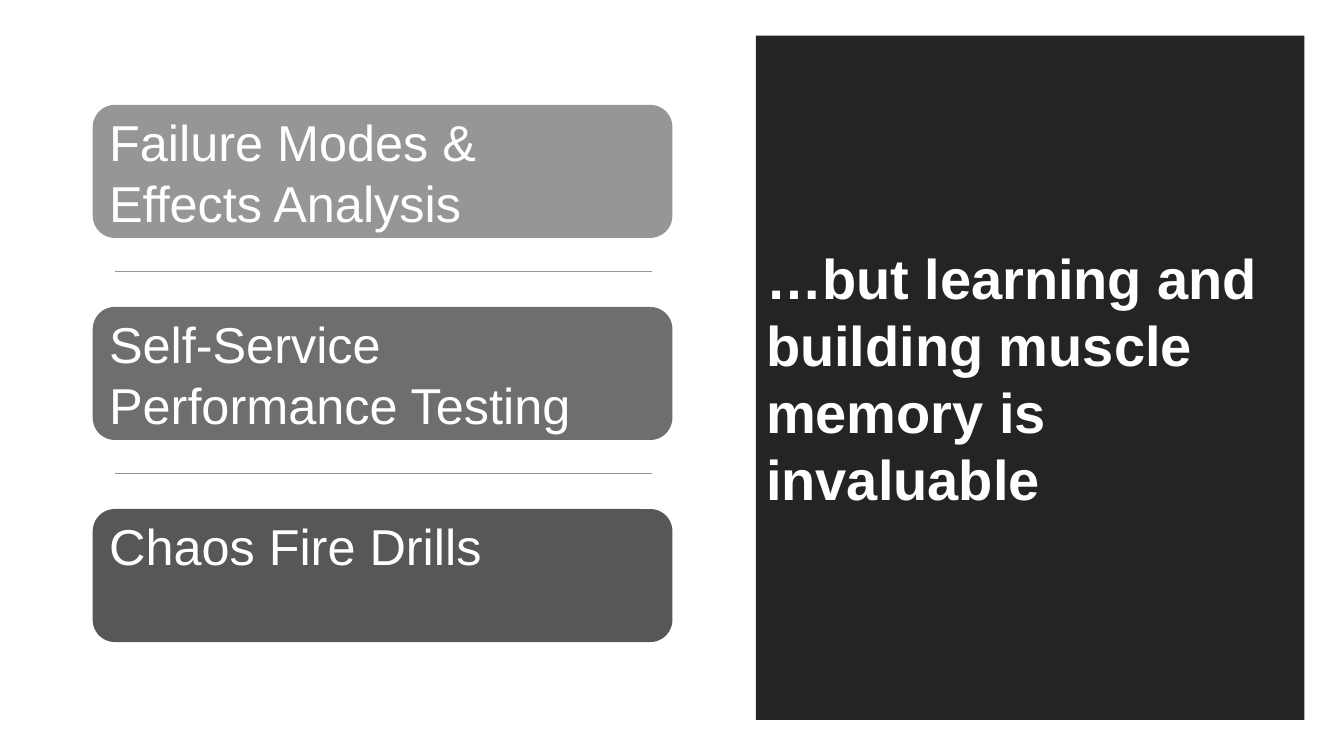
from lxml.etree import SubElement
from pptx import Presentation
from pptx.dml.color import RGBColor
from pptx.enum.shapes import MSO_CONNECTOR, MSO_SHAPE
from pptx.enum.text import MSO_ANCHOR, MSO_AUTO_SIZE, PP_ALIGN
from pptx.oxml.ns import qn
from pptx.util import Inches, Pt

WIDE, HIGH = Inches(13.33), Inches(7.5)
LEFT, TOP, SPAN, TALL, STEP = 6.9, 13.87, 43.13, 17.6, 26.73
RULE_LEFT, RULE_END, RULE_TOP = 8.55, 48.53, 35.87
CARDS = [
    ("Failure Modes &\nEffects Analysis", "969696"),
    ("Self-Service\nPerformance Testing", "6D6E6E"),
    ("Chaos Fire Drills", "575757"),
]


def across(share):
    return round(WIDE * share / 100)


def down(share):
    return round(HIGH * share / 100)


def paint(fill, color):
    fill.solid()
    fill.fore_color.rgb = RGBColor.from_string(color)


def write(shape, text, size, anchor, bold=False):
    frame = shape.text_frame
    frame.text = text
    frame.word_wrap = True
    frame.auto_size = MSO_AUTO_SIZE.NONE
    frame.vertical_anchor = anchor
    frame.margin_top = frame.margin_bottom = 0
    for line in frame.paragraphs:
        line.alignment = PP_ALIGN.LEFT
        line.line_spacing = 1.0
        font = line.font
        font.name, font.size, font.bold = "Arial", Pt(size), bold
        paint(font.fill, "FFFFFF")


def add_title(slide, text):
    title = slide.shapes.title
    title.left, title.top = across(56.25), down(4.7)
    title.width, title.height = across(40.8), down(90.53)
    paint(title.fill, "242424")
    write(title, text, 40, MSO_ANCHOR.MIDDLE, True)


def add_card(slide, top, text, color):
    card = slide.shapes.add_shape(
        MSO_SHAPE.ROUNDED_RECTANGLE,
        across(LEFT), down(top), across(SPAN), down(TALL))
    card.shadow.inherit = False
    card.line.fill.background()
    paint(card.fill, color)
    write(card, text, 36, MSO_ANCHOR.TOP)


def add_rule(slide, top):
    rule = slide.shapes.add_connector(
        MSO_CONNECTOR.STRAIGHT,
        across(RULE_LEFT), down(top), across(RULE_END), down(top))
    paint(rule.line.fill, "969696")
    rule.line.width = Pt(0.5)
    SubElement(rule._element.spPr, qn("a:effectLst"))


def main():
    deck = Presentation()
    deck.slide_width, deck.slide_height = WIDE, HIGH
    slide = deck.slides.add_slide(deck.slide_layouts[5])
    add_title(slide, "…but learning and building muscle memory is invaluable")
    for row, (text, color) in enumerate(CARDS):
        add_card(slide, TOP + row * STEP, text, color)
    for row in range(len(CARDS) - 1):
        add_rule(slide, RULE_TOP + row * STEP)
    deck.save("out.pptx")


if __name__ == "__main__":
    main()
